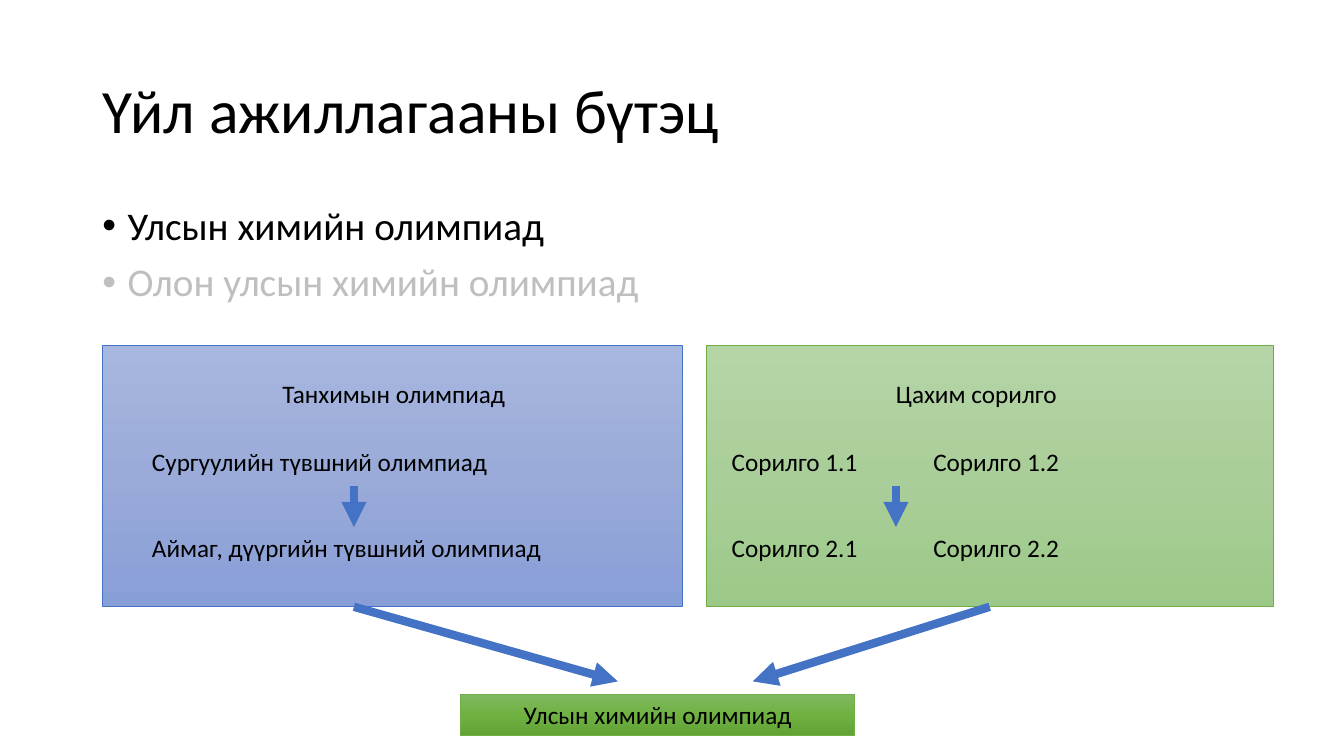
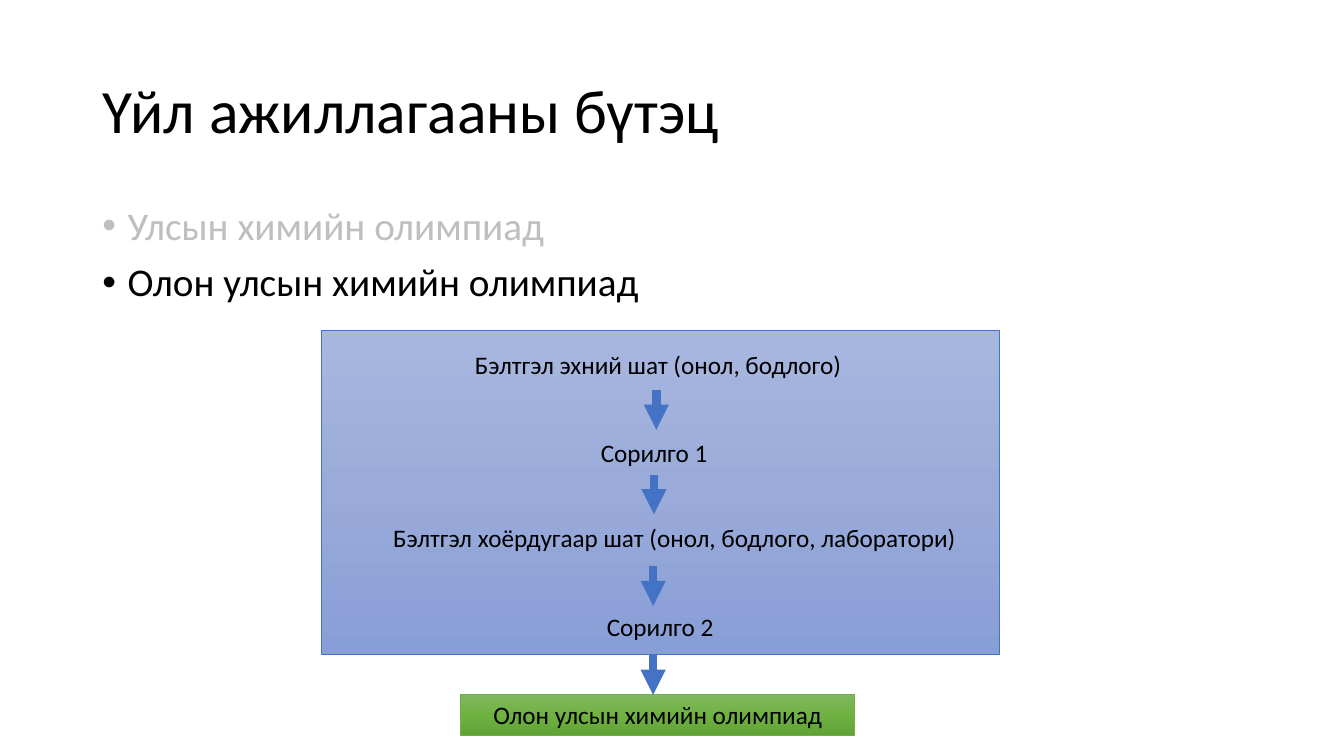
from copy import deepcopy

from lxml.etree import SubElement
from pptx import Presentation
from pptx.dml.color import RGBColor
from pptx.enum.shapes import MSO_CONNECTOR, MSO_SHAPE
from pptx.enum.text import MSO_ANCHOR, MSO_AUTO_SIZE, PP_ALIGN
from pptx.oxml.ns import qn
from pptx.util import Cm, Pt

FONT = "Calibri"
COLORS = {"text": "000000", "muted": "BFBFBF", "arrow": "4472C4",
          "blue": "4472C4", "green": "70AD47"}
GRADIENTS = {"blue": ("A8B7DF", "9AABD9", "889ED7"),
             "pale": ("B5D5A7", "AACE9A", "9CC987"),
             "green": ("81B861", "6FB242", "62A336")}
TITLE = "Үйл ажиллагааны бүтэц"
TOPICS = ("Улсын химийн олимпиад", "Олон улсын химийн олимпиад")
LABEL_HEIGHT = 1.02


def rgb(name):
    return RGBColor.from_string(COLORS[name])


class Deck:
    """Shared style and the slide being built."""

    def __init__(self):
        self.prs = Presentation()
        self.prs.slide_width, self.prs.slide_height = Cm(33.87), Cm(19.05)
        self.slide = None

    def style(self, paragraph, size, color="text", align=PP_ALIGN.LEFT):
        paragraph.alignment = align
        font = paragraph.font
        font.name, font.size = FONT, Pt(size)
        font.color.rgb = rgb(color)

    def textbox(self, left, top, width, height):
        box = self.slide.shapes.add_textbox(Cm(left), Cm(top), Cm(width), Cm(height))
        box.text_frame.word_wrap = True
        return box.text_frame

    def new_slide(self, active_topic):
        """Add a slide with the title and one highlighted topic."""
        self.slide = self.prs.slides.add_slide(self.prs.slide_layouts[5])
        title = self.slide.shapes.title
        title.left, title.top = Cm(2.33), Cm(1.02)
        title.width, title.height = Cm(29.21), Cm(3.68)
        frame = title.text_frame
        frame.text = TITLE
        frame.auto_size = MSO_AUTO_SIZE.NONE
        frame.vertical_anchor = MSO_ANCHOR.MIDDLE
        frame.paragraphs[0].line_spacing = 0.9
        self.style(frame.paragraphs[0], 44)
        self.topics(active_topic)

    def topics(self, active):
        frame = self.textbox(2.33, 5.08, 29.74, 2.95)
        for i, topic in enumerate(TOPICS):
            paragraph = frame.paragraphs[0] if i == 0 else frame.add_paragraph()
            paragraph.text = topic
            paragraph.line_spacing, paragraph.space_before = 0.9, Pt(10)
            self.style(paragraph, 28, "text" if topic == active else "muted")
            props = paragraph._p.get_or_add_pPr()
            indent = Cm(0.64)
            props.set("marL", str(indent))
            props.set("indent", str(-indent))
            SubElement(props, qn("a:buFont"), typeface="Arial")
            SubElement(props, qn("a:buChar"), char="•")

    def panel(self, left, top, width, height, gradient, border):
        """Outlined rectangle with a three-stop gradient running downwards."""
        panel = self.slide.shapes.add_shape(
            MSO_SHAPE.RECTANGLE, Cm(left), Cm(top), Cm(width), Cm(height))
        panel.shadow.inherit = False
        panel.line.color.rgb, panel.line.width = rgb(border), Pt(0.5)
        panel.fill.gradient()
        panel.fill.gradient_angle = 270
        stop_list = panel._element.spPr.find(qn("a:gradFill")).find(qn("a:gsLst"))
        stop_list.insert(1, deepcopy(stop_list[0]))
        for i, (stop, color) in enumerate(
                zip(panel.fill.gradient_stops, GRADIENTS[gradient])):
            stop.position = i / 2
            stop.color.rgb = RGBColor.from_string(color)
        return panel

    def label(self, text, left, top, width, align=PP_ALIGN.CENTER):
        paragraph = self.textbox(left, top, width, LABEL_HEIGHT).paragraphs[0]
        paragraph.text = text
        self.style(paragraph, 18, align=align)
        if "\t" in text:
            tabs = SubElement(paragraph._p.get_or_add_pPr(), qn("a:tabLst"))
            SubElement(tabs, qn("a:tab"), pos=str(Cm(5.08)), algn="l")

    def arrow(self, x1, y1, x2, y2):
        arrow = self.slide.shapes.add_connector(
            MSO_CONNECTOR.STRAIGHT, Cm(x1), Cm(y1), Cm(x2), Cm(y2))
        arrow.line.color.rgb, arrow.line.width = rgb("arrow"), Pt(6)
        SubElement(arrow.line._get_or_add_ln(), qn("a:tailEnd"), type="triangle")
        SubElement(arrow._element.spPr, qn("a:effectLst"))

    def result(self, text):
        """Green box at the foot, where the stages lead."""
        frame = self.panel(11.61, 17.5, 9.93, LABEL_HEIGHT, "green", "green").text_frame
        frame.text = text
        frame.vertical_anchor = MSO_ANCHOR.MIDDLE
        self.style(frame.paragraphs[0], 18, align=PP_ALIGN.CENTER)


def national_olympiad(deck):
    deck.new_slide(TOPICS[0])
    top, height = 8.71, 6.58
    deck.panel(2.57, top, 14.63, height, "blue", "blue")
    deck.panel(17.81, top, 14.27, height, "pale", "green")

    # Two tracks: heading, two stages and the step between them
    tracks = (
        ("Танхимын олимпиад", 2.9, 3.58, 8.92,
         ("Сургуулийн түвшний олимпиад", "Аймаг, дүүргийн түвшний олимпиад")),
        ("Цахим сорилго", 17.58, 18.19, 22.58,
         ("Сорилго 1.1\tСорилго 1.2", "Сорилго 2.1\tСорилго 2.2")),
    )
    for heading, heading_left, stage_left, step_x, stages in tracks:
        deck.label(heading, heading_left, 9.4, 14.05)
        for stage, stage_top in zip(stages, (11.13, 13.28)):
            deck.label(stage, stage_left, stage_top, 10.67, PP_ALIGN.LEFT)
        deck.arrow(step_x, 12.24, step_x, 13.28)

    # Both tracks lead to the final
    for start_x, end_x in ((8.92, 15.57), (24.94, 18.97)):
        deck.arrow(start_x, top + height, end_x, 17.17)
    deck.result(TOPICS[0])


def international_olympiad(deck):
    deck.new_slide(TOPICS[1])
    deck.panel(8.1, 8.33, 17.09, 8.15, "blue", "blue")
    deck.result(TOPICS[1])

    # Stages, each followed by a step down
    stages = (
        ("Бэлтгэл эхний шат (онол, бодлого)", 10.36, 8.69, 12.45, 16.54, 9.83),
        ("Сорилго 1", 10.26, 10.9, 12.45, 16.48, 11.96),
        ("Бэлтгэл хоёрдугаар шат (онол, бодлого, лаборатори)",
         9.4, 13.03, 15.19, 16.46, 14.27),
        ("Сорилго 2", 10.41, 15.27, 12.45, 16.46, 16.51),
    )
    for stage, left, top, width, step_x, step_top in stages:
        deck.label(stage, left, top, width)
        deck.arrow(step_x, step_top, step_x, step_top + 1)


def main():
    deck = Deck()
    national_olympiad(deck)
    international_olympiad(deck)
    deck.prs.save("out.pptx")


if __name__ == "__main__":
    main()
